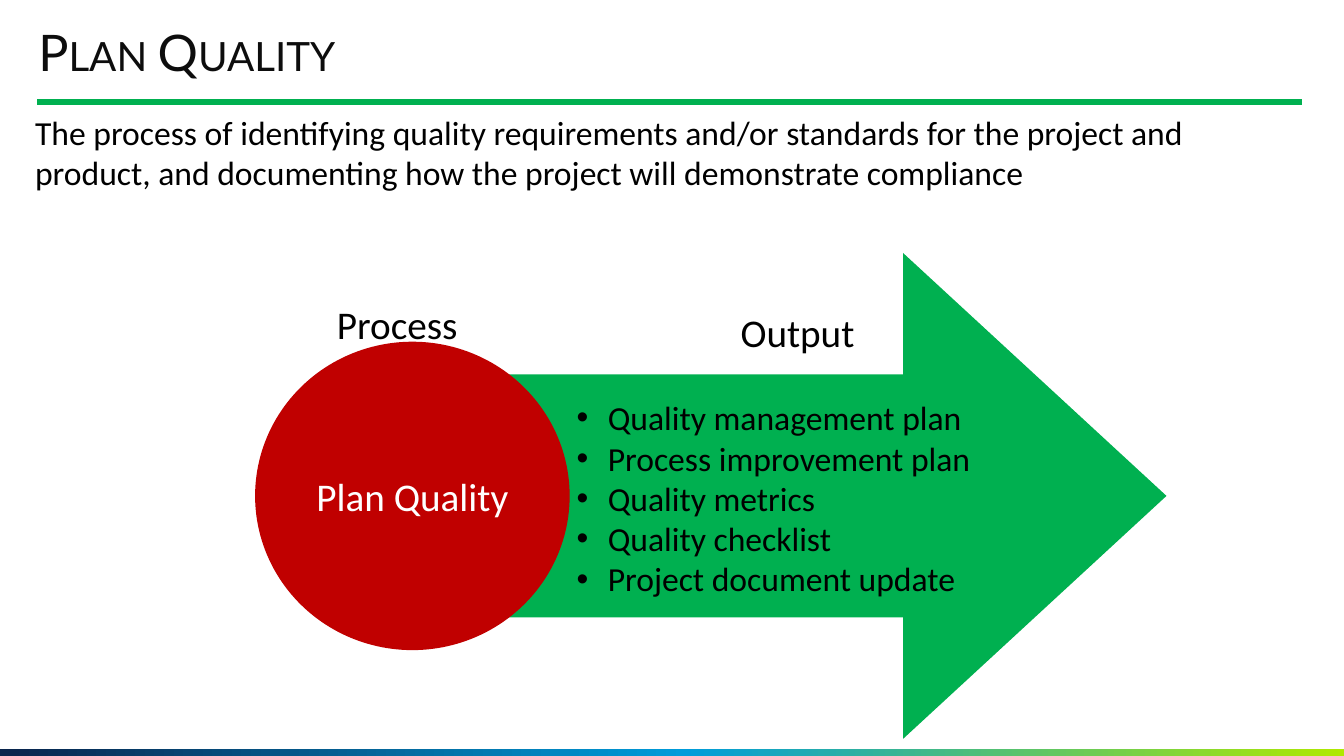
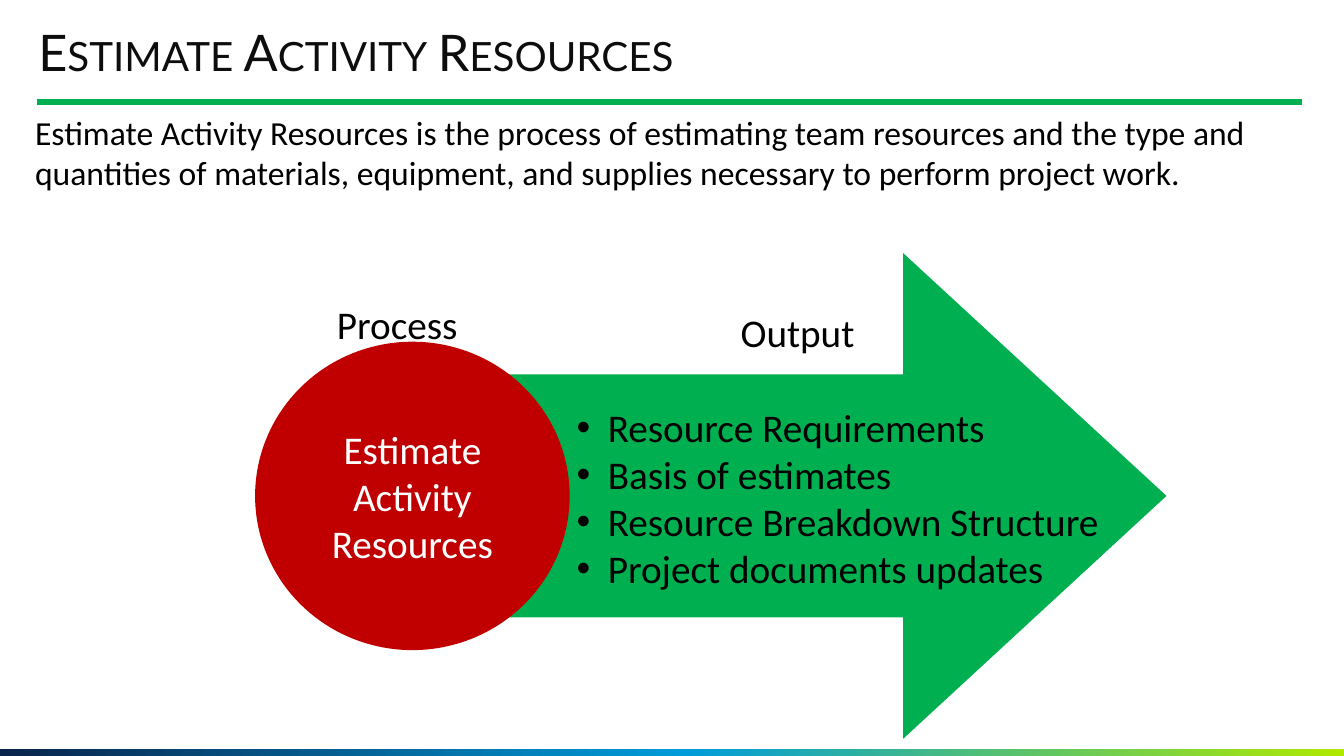
"""Build two process slides that share a title style, a band and an arrow diagram."""
from lxml.etree import SubElement
from pptx import Presentation
from pptx.dml.color import RGBColor
from pptx.enum.shapes import MSO_CONNECTOR, MSO_SHAPE
from pptx.enum.text import MSO_ANCHOR, MSO_AUTO_SIZE, PP_ALIGN
from pptx.oxml.ns import qn
from pptx.util import Pt

PX = 9144
WIDE, HIGH = 1333, 750
GREEN, RED, BLACK, WHITE, INK = "00B050", "C00000", "000000", "FFFFFF", "0D0D0D"
STOPS = [(0, "09244C"), (51, "009CDA"), (100, "B0E900")]

PAGES = [
    {
        "title": "Plan Quality",
        "intro": "The process of identifying quality requirements and/or standards for the "
                 "project and product, and documenting how the project will demonstrate compliance",
        "list": ["Quality management plan", "Process improvement plan", "Quality metrics",
                 "Quality checklist", "Project document update"],
        "size": 24,
        "box": (562, 389, 558, 252),
    },
    {
        "title": "Estimate Activity Resources",
        "intro": "Estimate Activity Resources is the process of estimating team resources and "
                 "the type and quantities of materials, equipment, and supplies necessary to "
                 "perform project work.",
        "list": ["Resource Requirements", "Basis of estimates",
                 "Resource Breakdown Structure", "Project documents updates"],
        "size": 28,
        "box": (562, 395, 558, 199),
    },
]


def write(shape, *lines, size=28, color=BLACK, font="Calibri", align=PP_ALIGN.LEFT,
          anchor=MSO_ANCHOR.TOP, inset=None, space=None, caps=False, bullet=False):
    frame = shape.text_frame
    frame.word_wrap = True
    frame.auto_size = MSO_AUTO_SIZE.NONE
    frame.vertical_anchor = anchor
    if inset is not None:
        frame.margin_left = frame.margin_right = inset * PX
        frame.margin_top = frame.margin_bottom = inset * PX
    for i, line in enumerate(lines):
        para = frame.add_paragraph() if i else frame.paragraphs[0]
        para.alignment = align
        if space:
            para.line_spacing = space
        if bullet:
            prop = para._p.get_or_add_pPr()
            prop.set("marL", str(31 * PX))
            prop.set("indent", str(-31 * PX))
            SubElement(prop, qn("a:buFont"), typeface="Arial")
            SubElement(prop, qn("a:buChar"), char="•")
        run = para.add_run()
        run.text = line
        run.font.size = Pt(size)
        run.font.name = font
        run.font.color.rgb = RGBColor.from_string(color)
        if caps:
            run._r.get_or_add_rPr().set("cap", "small")


def draw(shapes, kind, box, color=None):
    shape = shapes.add_shape(kind, *(n * PX for n in box))
    shape.shadow.inherit = False
    shape.line.fill.background()
    if color:
        shape.fill.solid()
        shape.fill.fore_color.rgb = RGBColor.from_string(color)
    return shape


deck = Presentation()
deck.slide_width, deck.slide_height = WIDE * PX, HIGH * PX

for page in PAGES:
    slide = deck.slides.add_slide(deck.slide_layouts[5])

    band = draw(slide.shapes, MSO_SHAPE.RECTANGLE, (0, 743, WIDE, 7))
    band.fill.gradient()
    band.fill.gradient_angle = 0
    stops = band.element.find(".//" + qn("a:gsLst"))
    stops.clear()
    for pos, color in STOPS:
        stop = SubElement(stops, qn("a:gs"), pos=str(pos * 1000))
        SubElement(stop, qn("a:srgbClr"), val=color)

    rule = slide.shapes.add_connector(
        MSO_CONNECTOR.STRAIGHT, 37 * PX, 101 * PX, 1291 * PX, 101 * PX)
    rule.line.color.rgb = RGBColor.from_string(GREEN)
    rule.line.width = Pt(4.5)
    SubElement(rule.element.spPr, qn("a:effectLst"))

    title = slide.shapes.title
    title.left, title.top, title.width, title.height = (n * PX for n in (38, 27, 1119, 55))
    write(title, page["title"], size=36, color=INK, font="Lato", inset=0, space=0.9,
          anchor=MSO_ANCHOR.MIDDLE, caps=True)

    intro = slide.shapes.add_textbox(*(n * PX for n in (25, 106, 1250, 91)))
    write(intro, page["intro"], size=24)

    parts = slide.shapes.add_group_shape().shapes
    arrow = draw(parts, MSO_SHAPE.RIGHT_ARROW, (481, 251, 676, 482), GREEN)
    arrow.adjustments[1] = 0.542
    disc = draw(parts, MSO_SHAPE.OVAL, (253, 339, 312, 306), RED)
    write(disc, page["title"], color=WHITE, align=PP_ALIGN.CENTER, anchor=MSO_ANCHOR.MIDDLE)
    for label, left, top in [("Process", 308, 293), ("Output", 705, 301)]:
        head = parts.add_textbox(left * PX, top * PX, 172 * PX, 57 * PX)
        write(head, label, align=PP_ALIGN.CENTER)
    items = parts.add_textbox(*(n * PX for n in page["box"]))
    write(items, *page["list"], size=page["size"], bullet=True)

deck.save("out.pptx")
